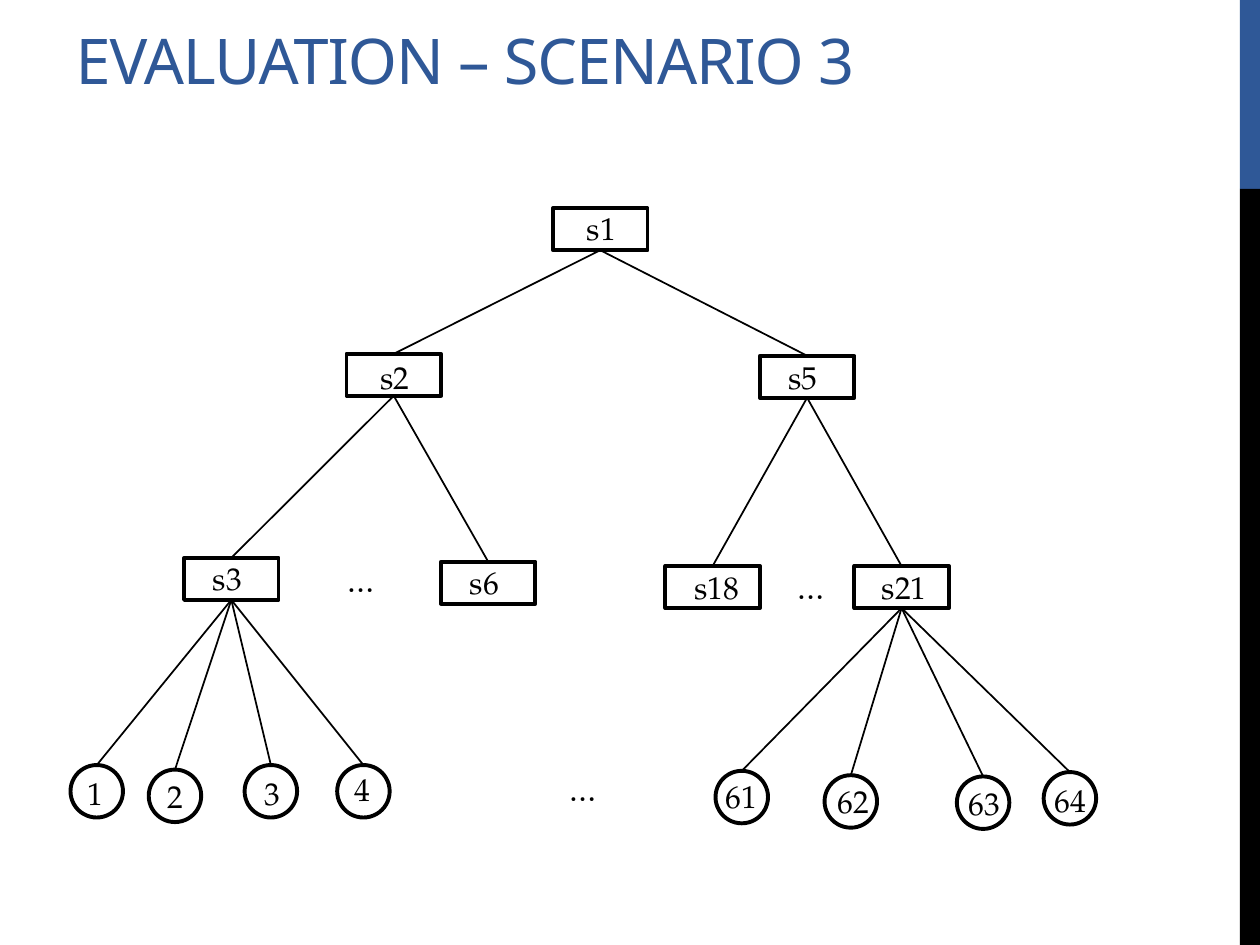
from dataclasses import dataclass

from lxml import etree
from pptx import Presentation
from pptx.dml.color import RGBColor
from pptx.enum import shapes, text
from pptx.oxml.ns import qn
from pptx.util import Pt

BLUE = RGBColor(0x2F, 0x58, 0x97)
BLACK = RGBColor(0, 0, 0)
WHITE = RGBColor(0xFF, 0xFF, 0xFF)
TITLE_FONT = "Noto Sans"
LABEL_FONT = "TeX Gyre Pagella"
RECTANGLE = shapes.MSO_SHAPE.RECTANGLE
OVAL = shapes.MSO_SHAPE.OVAL
SWITCH_SIZE = (54, 24)
HOST_SIZE = (30, 30)
LABEL_HEIGHT = 29
BOTTOM, TOP = 2, 0  # connection sites


@dataclass(frozen=True)
class Label:
    text: str
    left: float
    top: float
    width: float = 36


@dataclass(frozen=True)
class Node:
    """A tree node; its label sits at an offset from its top left corner."""
    name: str
    parent: str
    left: float
    top: float
    label_dx: float
    label_dy: float
    label_width: float = 36

    @property
    def label(self) -> Label:
        return Label(self.name, self.left + self.label_dx,
                     self.top + self.label_dy, self.label_width)


SWITCHES = [
    Node("s1", "", 316, 119, 12.3, -3),
    Node("s2", "s1", 198, 202.2, 12.3, -1.3),
    Node("s5", "s1", 434.2, 203.3, 9.3, -2.4),
    Node("s3", "s2", 105.2, 318.8, 9.3, -2.7),
    Node("s6", "s2", 252, 321, 9.4, -2.8),
    Node("s18", "s5", 380.2, 323.5, 9.3, -2.4, 44.6),
    Node("s21", "s5", 488.2, 323.5, 8.6, -2.4, 46),
]
HOSTS = [
    Node("1", "s3", 40.3, 437.2, 2.9, 1.3),
    Node("2", "s3", 85, 439.8, 3.6, 0.8, 26.6),
    Node("3", "s3", 139.8, 437.2, 4.2, 1.3, 26.6),
    Node("4", "s3", 192.7, 437.2, 3.1, -0.9, 26.6),
    Node("61", "s21", 408.9, 440.5, -1.4, 0.1, 40.3),
    Node("62", "s21", 471.2, 443, 0.4, 0.5, 41),
    Node("63", "s21", 546.8, 443.7, -0.3, 0.5, 34.6),
    Node("64", "s21", 596.4, 441.2, -1, 1.6, 37.4),
]
ELLIPSES = [
    Label("…", 191.5, 316.8, 41),
    Label("…", 448.6, 321.1, 41),
    Label("…", 318.2, 436.3, 39.6),
]


def add_filled(slide, kind, left: float, top: float, width: float,
               height: float, fill: RGBColor):
    shape = slide.shapes.add_shape(kind, Pt(left), Pt(top), Pt(width), Pt(height))
    shape.shadow.inherit = False
    shape.fill.solid()
    shape.fill.fore_color.rgb = fill
    shape.line.fill.background()
    return shape


def add_node(slide, node: Node, kind, size: tuple[float, float]):
    shape = add_filled(slide, kind, node.left, node.top, *size, WHITE)
    shape.line.color.rgb = BLACK
    shape.line.width = Pt(2.25)
    return shape


def add_edge(slide, parent, child) -> None:
    edge = slide.shapes.add_connector(shapes.MSO_CONNECTOR.STRAIGHT, 0, 0, 0, 0)
    edge.begin_connect(parent, BOTTOM)
    edge.end_connect(child, TOP)
    edge.line.color.rgb = BLACK
    edge.line.width = Pt(1)
    etree.SubElement(edge._element.spPr, qn("a:effectLst"))


def add_label(slide, label: Label) -> None:
    box = slide.shapes.add_textbox(Pt(label.left), Pt(label.top),
                                   Pt(label.width), Pt(LABEL_HEIGHT))
    frame = box.text_frame
    frame.word_wrap = True
    frame.auto_size = text.MSO_AUTO_SIZE.SHAPE_TO_FIT_TEXT
    frame.text = label.text
    font = frame.paragraphs[0].runs[0].font
    font.name, font.size = LABEL_FONT, Pt(18)
    font.color.rgb = BLACK


def set_title(slide, title_text: str) -> None:
    title = slide.shapes.title
    title.left, title.top, title.width, title.height = (
        Pt(36), Pt(12), Pt(486), Pt(108))
    frame = title.text_frame
    frame.text = title_text
    frame.word_wrap = True
    frame.auto_size = text.MSO_AUTO_SIZE.NONE
    frame.vertical_anchor = text.MSO_ANCHOR.TOP
    paragraph = frame.paragraphs[0]
    paragraph.alignment = text.PP_ALIGN.LEFT
    paragraph.line_spacing = 0.95
    run = paragraph.runs[0]
    run.font.name, run.font.size = TITLE_FONT, Pt(36)
    run.font.color.rgb = BLUE
    run._r.get_or_add_rPr().set("spc", "-60")


def main() -> None:
    presentation = Presentation()
    presentation.slide_width, presentation.slide_height = Pt(720), Pt(540)
    slide = presentation.slides.add_slide(presentation.slide_layouts[5])

    # Side band and title
    add_filled(slide, RECTANGLE, 708.5, 0, 11.5, 108, BLUE)
    add_filled(slide, RECTANGLE, 708.5, 108, 11.5, 432, BLACK)
    set_title(slide, "EVALUATION – SCENARIO 3")

    # Tree: nodes, then edges, then labels
    drawn = {node.name: add_node(slide, node, RECTANGLE, SWITCH_SIZE)
             for node in SWITCHES}
    drawn |= {node.name: add_node(slide, node, OVAL, HOST_SIZE)
              for node in HOSTS}
    nodes = SWITCHES + HOSTS
    for node in nodes:
        if node.parent:
            add_edge(slide, drawn[node.parent], drawn[node.name])
    for label in [node.label for node in nodes] + ELLIPSES:
        add_label(slide, label)

    presentation.save("out.pptx")


if __name__ == "__main__":
    main()
